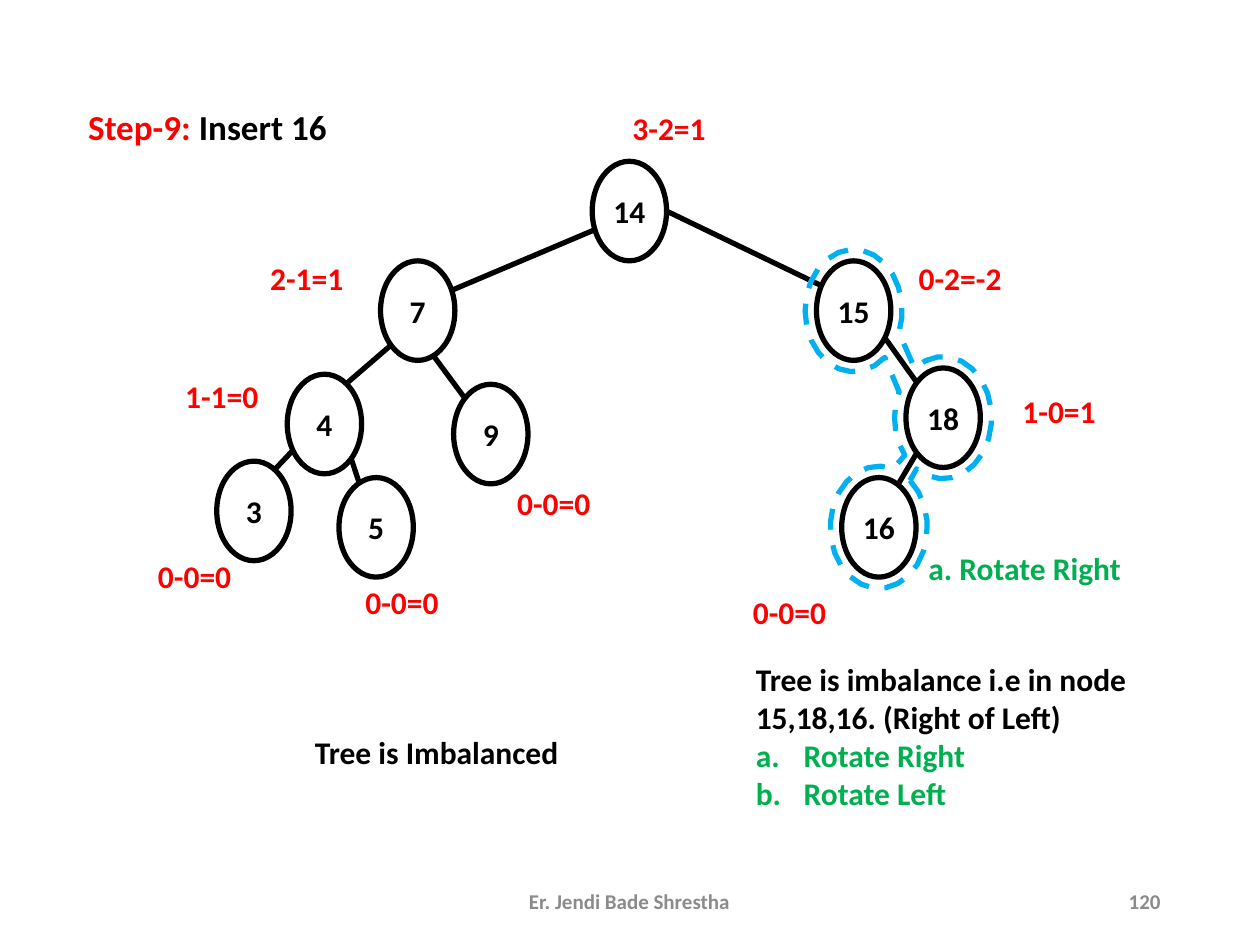
import math

import pptx
import pptx.util
import pptx.dml.color
import pptx.enum.dml
import pptx.enum.shapes
import pptx.enum.text
import pptx.oxml.ns
import lxml.etree

BLACK, WHITE, RED, GREEN, BLUE, GREY = "000000", "FFFFFF", "FF0000", "00B050", "00B0F0", "8B8B8B"
ALIGN = pptx.enum.text.PP_ALIGN
ANCHOR = pptx.enum.text.MSO_ANCHOR
COLUMNS, ROWS = 100, 75
NODE_WIDTH, NODE_HEIGHT = 5.9, 7.9
LABEL_HEIGHT = 4
HALO_GAP = 0.9
ARC_STEP = 15

# key: (centre column, centre row), balance factor, (left, top, width) of the factor
NODES = {
    14: ((49.95, 16.75), "3-2=1", (48, 8.2, 10.2)),
    15: ((67.75, 24.65), "0-2=-2", (71.2, 20.1, 10)),
    7: ((33.15, 24.65), "2-1=1", (18.5, 20.1, 11.7)),
    4: ((25.75, 33.65), "1-1=0", (10.8, 29.4, 13.6)),
    9: ((38.95, 34.45), "0-0=0", (35.1, 37.9, 17.7)),
    18: ((74.85, 33.15), "1-0=1", (78.1, 30.6, 11.9)),
    3: ((20.15, 40.55), "0-0=0", (8.3, 43.7, 14.3)),
    5: ((29.85, 41.85), "0-0=0", (24.8, 45.8, 14.2)),
    16: ((69.75, 41.85), "0-0=0", (53.4, 46.6, 18.5)),
}
# Angles are degrees clockwise from the right-hand side of a node.
# parent, angle on its rim, child, angle on its rim
EDGES = [
    (14, 158, 7, -24), (14, 0, 15, 210),
    (7, 136, 4, -54), (7, 65, 9, 226),
    (15, 33, 18, 225), (18, 135, 16, -59),
    (4, 148, 3, -56), (4, 44, 5, 243),
]
# The loop round the imbalanced nodes: node, first angle, last angle.
# It passes 18 twice, on its inner and its outer side.
HALO_ARCS = [(16, -50, 287), (18, 142, 205), (15, 50, 381), (18, 234, 483)]


def color(hex_text):
    return pptx.dml.color.RGBColor.from_string(hex_text)


def rim_point(key, angle, gap=0):
    """Point on the ellipse that lies gap outside a node's rim."""
    (column, row), turn = NODES[key][0], math.radians(angle)
    return (column + (NODE_WIDTH / 2 + gap) * math.cos(turn),
            row + (NODE_HEIGHT / 2 + gap) * math.sin(turn))


def halo_points():
    """Points of all arcs in turn; straight necks join one arc to the next."""
    points = []
    for key, first, last in HALO_ARCS:
        steps = math.ceil((last - first) / ARC_STEP)
        for step in range(steps + 1):
            angle = first + (last - first) * step / steps
            points.append(rim_point(key, angle, HALO_GAP))
    return points


class TreeSlide:
    font = "Calibri"
    stroke = pptx.util.Pt(3)

    def __init__(self, deck):
        self.slide = deck.slides.add_slide(deck.slide_layouts[6])
        self.column = deck.slide_width / COLUMNS
        self.row = deck.slide_height / ROWS

    def place(self, *lengths):
        """Turn alternating columns and rows into slide lengths."""
        units = (self.column, self.row) * 2
        return [pptx.util.Emu(round(n * unit)) for n, unit in zip(lengths, units)]

    def style(self, paragraph, size, hex_text, align):
        paragraph.alignment = align
        font = paragraph.font
        font.name, font.size, font.bold = self.font, pptx.util.Pt(size), True
        font.color.rgb = color(hex_text)

    def outline(self, line, hex_text):
        line.color.rgb = color(hex_text)
        line.width = self.stroke

    def text(self, box, lines, size=18, hex_text=BLACK, align=ALIGN.LEFT, anchor=ANCHOR.TOP):
        """Add one paragraph per line; returns the paragraphs."""
        frame = self.slide.shapes.add_textbox(*self.place(*box)).text_frame
        frame.word_wrap = True
        frame.vertical_anchor = anchor
        frame.text = "\n".join(lines)
        for paragraph in frame.paragraphs:
            self.style(paragraph, size, hex_text, align)
        return frame.paragraphs

    def heading(self, box, parts):
        """Add one line made of (words, colour) parts."""
        line, = self.text(box, [""], size=20)
        for words, hex_text in parts:
            run = line.add_run()
            run.text = words
            run.font.color.rgb = color(hex_text)

    def footer(self, left, width, words, align):
        self.text((left, 69.5, width, LABEL_HEIGHT), [words], 12, GREY, align, ANCHOR.MIDDLE)

    def letter(self, paragraph, hex_text):
        """Number a paragraph a., b., ... with a hanging indent."""
        paragraph.font.color.rgb = color(hex_text)
        properties = paragraph.font._element.getparent()
        indent = pptx.util.Inches(0.38)
        properties.set("marL", str(indent))
        properties.set("indent", str(-indent))
        numbering = lxml.etree.Element(pptx.oxml.ns.qn("a:buAutoNum"), type="alphaLcPeriod")
        properties.insert(0, numbering)

    def node(self, key, centre):
        left, top = centre[0] - NODE_WIDTH / 2, centre[1] - NODE_HEIGHT / 2
        circle = self.slide.shapes.add_shape(
            pptx.enum.shapes.MSO_SHAPE.OVAL, *self.place(left, top, NODE_WIDTH, NODE_HEIGHT))
        circle.shadow.inherit = False
        circle.fill.solid()
        circle.fill.fore_color.rgb = color(WHITE)
        self.outline(circle.line, BLACK)
        frame = circle.text_frame
        frame.margin_left = frame.margin_right = 0
        frame.text = str(key)
        self.style(frame.paragraphs[0], 18, BLACK, ALIGN.CENTER)

    def edge(self, start, end):
        branch = self.slide.shapes.add_connector(
            pptx.enum.shapes.MSO_CONNECTOR.STRAIGHT, *self.place(*start, *end))
        self.outline(branch.line, BLACK)
        lxml.etree.SubElement(branch._element.spPr, pptx.oxml.ns.qn("a:effectLst"))

    def dashed_loop(self, points):
        corners = [self.place(*point) for point in points]
        builder = self.slide.shapes.build_freeform(*corners[0])
        builder.add_line_segments(corners[1:], close=True)
        loop = builder.convert_to_shape()
        loop.shadow.inherit = False
        loop.fill.background()
        self.outline(loop.line, BLUE)
        loop.line.dash_style = pptx.enum.dml.MSO_LINE.DASH


def main():
    deck = pptx.Presentation()
    deck.slide_width, deck.slide_height = pptx.util.Inches(10), pptx.util.Inches(7.5)
    tree = TreeSlide(deck)

    tree.heading((6, 7.9, 25.1, 4.3), [("Step-9: ", RED), ("Insert 16", BLACK)])
    for key, (centre, factor, (left, top, width)) in NODES.items():
        tree.node(key, centre)
        tree.text((left, top, width, LABEL_HEIGHT), [factor], hex_text=RED, align=ALIGN.CENTER)
    for parent, parent_angle, child, child_angle in EDGES:
        tree.edge(rim_point(parent, parent_angle), rim_point(child, child_angle))
    tree.dashed_loop(halo_points())

    tree.text((72.7, 43.1, 19.7, LABEL_HEIGHT), ["a. Rotate Right"], hex_text=GREEN)
    tree.text((24, 57.7, 32.2, LABEL_HEIGHT), ["Tree is Imbalanced"])
    diagnosis = tree.text((59, 51.9, 35.8, 16), [
        "Tree is imbalance i.e in node 15,18,16. (Right of Left)", "Rotate Right", "Rotate Left"])
    for rotation in diagnosis[1:]:
        tree.letter(rotation, GREEN)

    tree.footer(33.1, 33.7, "Er. Jendi Bade Shrestha", ALIGN.CENTER)
    tree.footer(70.6, 22.5, "120", ALIGN.RIGHT)
    deck.save("out.pptx")


if __name__ == "__main__":
    main()
